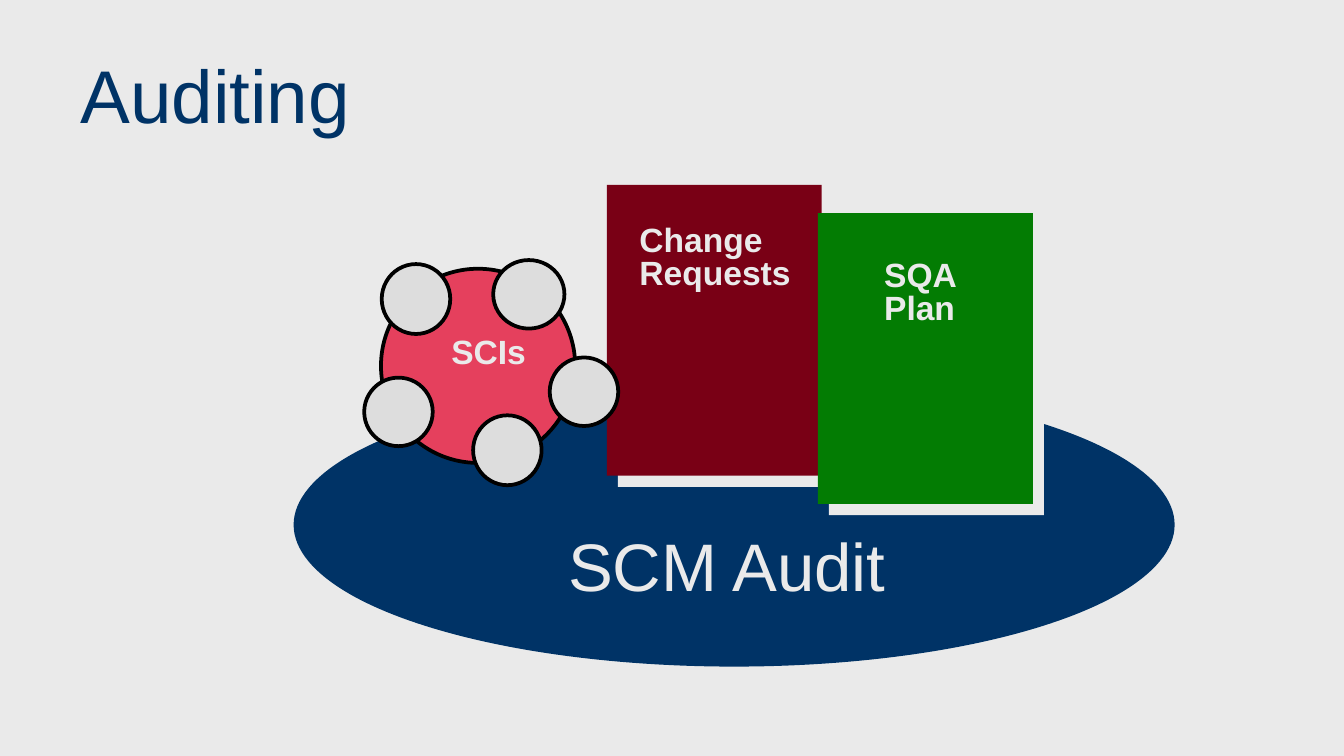
import pptx
import pptx.util
import pptx.oxml
import pptx.oxml.ns
import pptx.dml.color
import pptx.enum.shapes
import pptx.enum.text

RGB = pptx.dml.color.RGBColor
PALE = RGB(0xEA, 0xEA, 0xEA)
NAVY = RGB(0x00, 0x33, 0x66)
WINE = RGB(0x79, 0x00, 0x15)
GREEN = RGB(0x03, 0x7C, 0x03)
ROSE = RGB(0xE5, 0x40, 0x5D)
GRAY = RGB(0xDD, 0xDD, 0xDD)
BLACK = RGB(0x00, 0x00, 0x00)

SCALE = 4572
FONT = "Arial"
OVAL = pptx.enum.shapes.MSO_SHAPE.OVAL
RECT = pptx.enum.shapes.MSO_SHAPE.RECTANGLE
SHADOW = (
    f'<a:outerShdw {pptx.oxml.ns.nsdecls("a")} dist="107950" dir="2700000" '
    f'algn="ctr" rotWithShape="0"><a:srgbClr val="{PALE}"/></a:outerShdw>'
)


def emu(*sizes):
    return [pptx.util.Emu(size * SCALE) for size in sizes]


class Slide:
    def __init__(self, deck):
        self.slide = deck.slides.add_slide(deck.slide_layouts[6])
        fill = self.slide.background.fill
        fill.solid()
        fill.fore_color.rgb = PALE

    def shape(self, kind, box, color):
        shape = self.slide.shapes.add_shape(kind, *emu(*box))
        shape.shadow.inherit = False
        shape.fill.solid()
        shape.fill.fore_color.rgb = color
        shape.line.fill.background()
        return shape

    def panel(self, kind, box, color):
        shape = self.shape(kind, box, color)
        effects = shape._element.spPr.find(pptx.oxml.ns.qn("a:effectLst"))
        effects.append(pptx.oxml.parse_xml(SHADOW))

    def disc(self, box, color):
        self.shape(OVAL, box, color)
        ring = self.shape(OVAL, box, color)
        ring.fill.background()
        ring.line.color.rgb = BLACK
        ring.line.width = pptx.util.Pt(2)

    def text(self, box, text, size, color=PALE, bold=False, space=1.0):
        frame = self.slide.shapes.add_textbox(*emu(*box)).text_frame
        frame.text = text
        frame.word_wrap = False
        frame.auto_size = pptx.enum.text.MSO_AUTO_SIZE.SHAPE_TO_FIT_TEXT
        for para in frame.paragraphs:
            para.line_spacing = space
            for run in para.runs:
                run.font.name = FONT
                run.font.size = pptx.util.Pt(size)
                run.font.bold = bold
                run.font.color.rgb = color
        return frame

    def title(self, box, text):
        frame = self.text(box, text, 40, NAVY)
        frame.word_wrap = True
        frame.auto_size = pptx.enum.text.MSO_AUTO_SIZE.NONE
        frame.vertical_anchor = pptx.enum.text.MSO_ANCHOR.MIDDLE


def main():
    deck = pptx.Presentation()
    deck.slide_width, deck.slide_height = emu(2000, 1125)
    slide = Slide(deck)

    slide.panel(OVAL, (437, 570, 1311, 422), NAVY)
    slide.title((100, 45, 1800, 188), "Auditing")
    slide.panel(RECT, (903, 275, 320, 433), WINE)
    slide.panel(RECT, (1217, 317, 320, 433), GREEN)

    slide.disc((567, 400, 289, 289), ROSE)
    slide.text((652, 483, 154, 80), "SCIs", 18, bold=True)
    for box in (
        (704, 618, 102, 104),
        (818, 532, 102, 102),
        (734, 387, 106, 102),
        (568, 393, 102, 104),
        (542, 562, 102, 102),
    ):
        slide.disc(box, GRAY)

    slide.text((932, 328, 268, 116), "Change\nRequests", 18, bold=True, space=0.8)
    slide.text((1296, 380, 150, 116), "SQA\nPlan", 18, bold=True, space=0.8)
    slide.text((826, 770, 514, 140), "SCM Audit", 36)
    deck.save("out.pptx")


if __name__ == "__main__":
    main()
